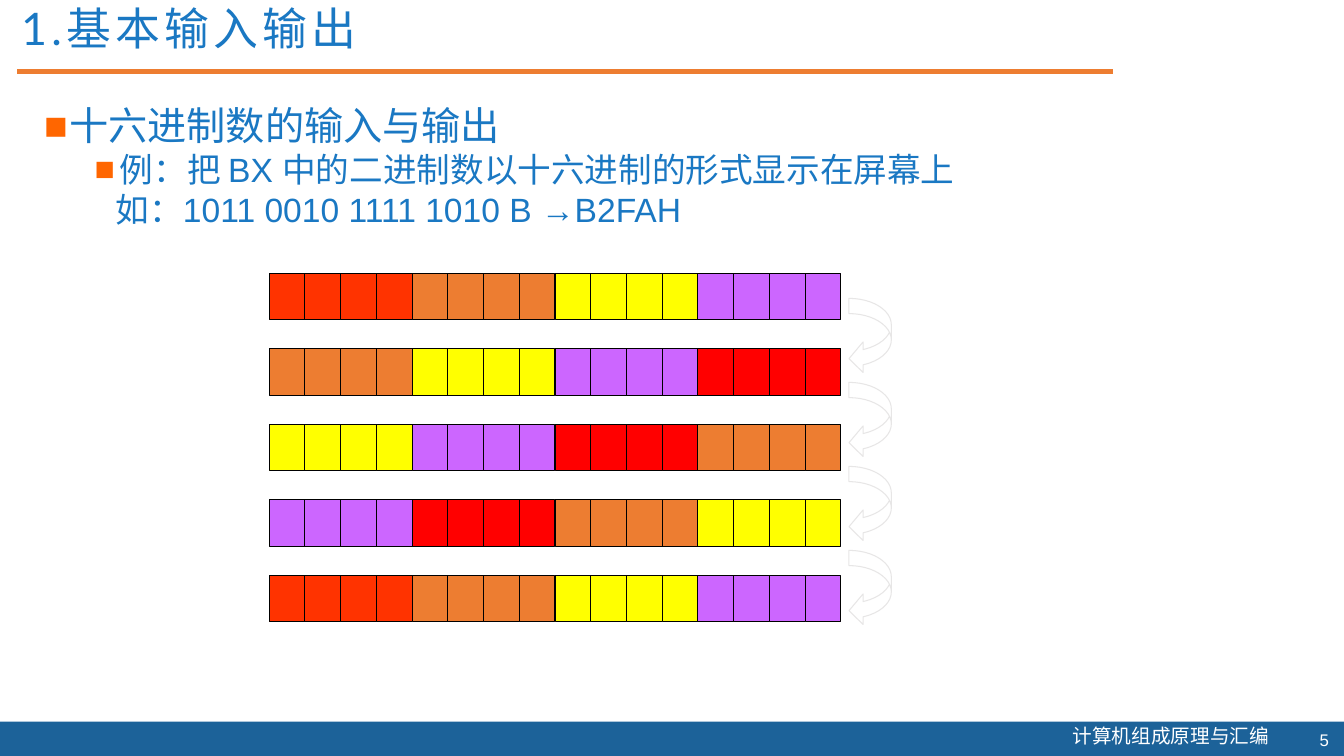
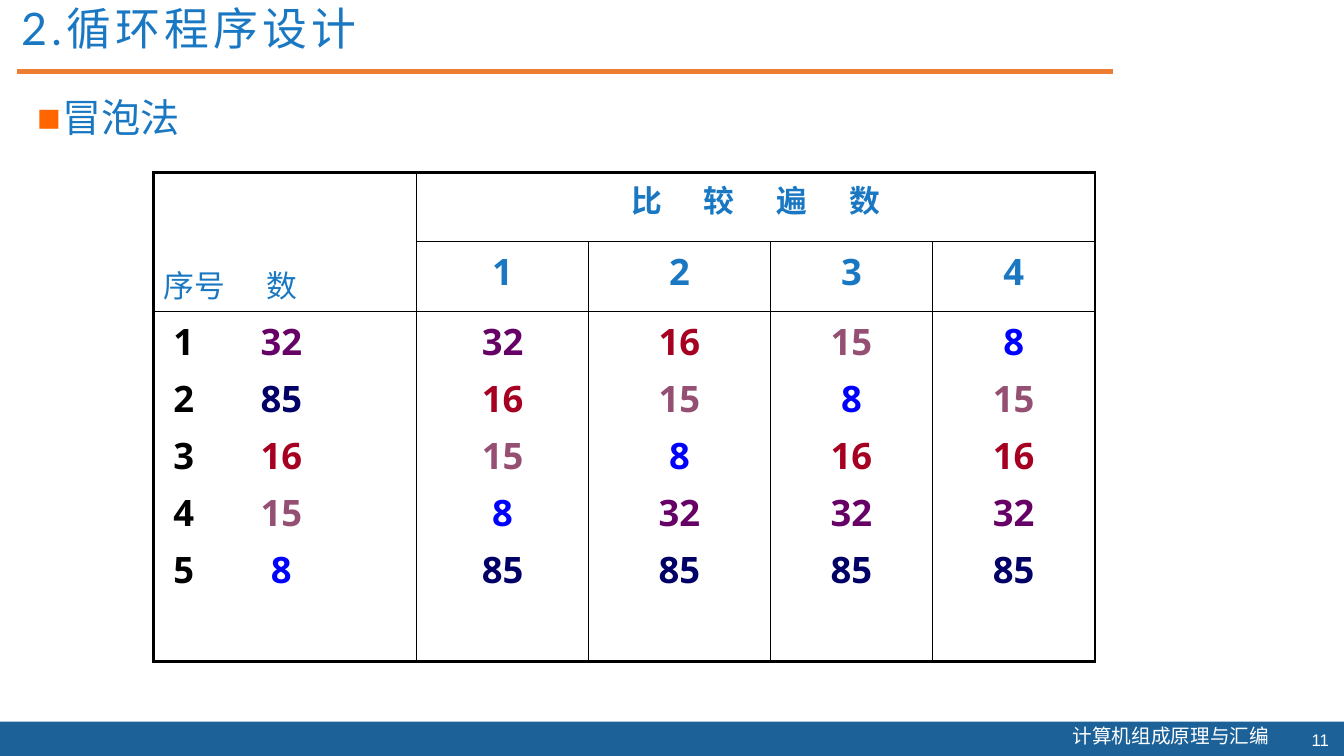
from lxml import etree
from pptx import Presentation
from pptx.dml.color import RGBColor
from pptx.enum.shapes import MSO_CONNECTOR, MSO_SHAPE
from pptx.enum.text import MSO_ANCHOR, MSO_AUTO_SIZE, PP_ALIGN
from pptx.oxml.ns import qn
from pptx.util import Inches, Pt

RECTANGLE = MSO_SHAPE.RECTANGLE
CURVED_ARROW = MSO_SHAPE.CURVED_LEFT_ARROW
STRAIGHT = MSO_CONNECTOR.STRAIGHT
TOP, MIDDLE, BOTTOM = MSO_ANCHOR.TOP, MSO_ANCHOR.MIDDLE, MSO_ANCHOR.BOTTOM
LEFT, CENTER, RIGHT = PP_ALIGN.LEFT, PP_ALIGN.CENTER, PP_ALIGN.RIGHT
FIT_SHAPE, NO_FIT = MSO_AUTO_SIZE.SHAPE_TO_FIT_TEXT, MSO_AUTO_SIZE.NONE

WHITE = RGBColor(0xFF, 0xFF, 0xFF)
BLACK = RGBColor(0, 0, 0)
BLUE = RGBColor(0x1A, 0x78, 0xC3)
BAND_BLUE = RGBColor(0x1C, 0x62, 0x99)
ORANGE = RGBColor(0xED, 0x7D, 0x31)
BULLET_ORANGE = RGBColor(0xFF, 0x66, 0x00)
ORANGE_RED = RGBColor(0xFF, 0x33, 0x00)
RED = RGBColor(0xFF, 0, 0)
YELLOW = RGBColor(0xFF, 0xFF, 0)
VIOLET = RGBColor(0xCC, 0x66, 0xFF)
PALE_GREY = RGBColor(0xE7, 0xE6, 0xE6)
NUMBER_COLORS = {
    32: RGBColor(0x66, 0, 0x66),
    85: RGBColor(0, 0, 0x66),
    16: RGBColor(0xA5, 0, 0x21),
    15: RGBColor(0x95, 0x4F, 0x72),
    8: RGBColor(0, 0, 0xFF),
}
CHINESE_FONT = "Noto Sans CJK SC"
COURSE = "计算机组成原理与汇编"


# Text
def style(paragraph, size, font, color, bold=False, align=LEFT,
          before=0, spacing=None):
    paragraph.alignment = align
    paragraph.space_before = Pt(before)
    if spacing:
        paragraph.line_spacing = spacing
    paragraph.font.size = Pt(size)
    paragraph.font.name = font
    paragraph.font.bold = bold
    paragraph.font.color.rgb = color
    defaults = paragraph._p.get_or_add_pPr().get_or_add_defRPr()
    etree.SubElement(defaults, qn("a:ea"), typeface=CHINESE_FONT)
    return defaults


def set_indent(paragraph, margin, hanging=0, bullet=False):
    """Indent a styled paragraph, with a square bullet if wanted."""
    properties = paragraph._p.get_or_add_pPr()
    properties.set("marL", str(Inches(margin)))
    properties.set("indent", str(-Inches(hanging)))
    if bullet:
        defaults = properties.find(qn("a:defRPr"))
        bullet_color = etree.Element(qn("a:buClr"))
        etree.SubElement(bullet_color, qn("a:srgbClr"), val=str(BULLET_ORANGE))
        defaults.addprevious(bullet_color)
        defaults.addprevious(etree.Element(qn("a:buFont"), typeface="Arial"))
        defaults.addprevious(etree.Element(qn("a:buChar"), char="■"))


def set_tab(paragraph, position, align):
    tabs = etree.Element(qn("a:tabLst"))
    etree.SubElement(tabs, qn("a:tab"), pos=str(Inches(position)), algn=align)
    paragraph._p.get_or_add_pPr().find(qn("a:defRPr")).addprevious(tabs)


def add_run(paragraph, text, color=None, tracking=0):
    run = paragraph.add_run()
    run.text = text
    if color is not None:
        run.font.color.rgb = color
    if tracking:
        run._r.get_or_add_rPr().set("spc", str(tracking * 100))


def add_text_frame(slide, left, top, width, height):
    frame = slide.shapes.add_textbox(
        Inches(left), Inches(top), Inches(width), Inches(height)).text_frame
    frame.word_wrap = True
    return frame


def add_bullets(slide, box, lines):
    """Lines are (text, size, space before, margin, hanging, bullet)."""
    frame = add_text_frame(slide, *box)
    for index, (text, size, before, margin, hanging, bullet) in enumerate(lines):
        paragraph = frame.add_paragraph() if index else frame.paragraphs[0]
        add_run(paragraph, text)
        style(paragraph, size, "Arial", BLUE, before=before, spacing=0.9)
        set_indent(paragraph, margin, hanging, bullet)


# Shapes
def add_box(shapes, kind, left, top, width, height, fill=None, line=None):
    box = shapes.add_shape(
        kind, Inches(left), Inches(top), Inches(width), Inches(height))
    box.shadow.inherit = False
    if fill is None:
        box.fill.background()
    else:
        box.fill.solid()
        box.fill.fore_color.rgb = fill
    if line is None:
        box.line.fill.background()
    else:
        box.line.color.rgb = line
        box.line.width = Pt(0.75)
    return box


def add_title_rule(slide):
    rule = slide.shapes.add_connector(
        STRAIGHT, Inches(0.17), Inches(0.71), Inches(11.04), Inches(0.71))
    rule.line.color.rgb = ORANGE
    rule.line.width = Pt(3)
    etree.SubElement(rule._element.spPr, qn("a:effectLst"))


# Shared slide frame: title, rule, bottom band, course name, page number
def add_slide(deck, heading, page):
    slide = deck.slides.add_slide(deck.slide_layouts[5])
    title = slide.shapes.title
    title.left, title.top = Inches(0.11), Inches(0.07)
    title.width, title.height = Inches(10.65), Inches(0.48)
    frame = title.text_frame
    frame.text = heading
    frame.vertical_anchor = TOP
    frame.auto_size = NO_FIT
    frame.margin_top = 0
    style(frame.paragraphs[0], 32, "Lato", BLUE, spacing=0.9).set("spc", "300")

    add_title_rule(slide)
    add_box(slide.shapes, RECTANGLE, 0, 7.16, 13.33, 0.35, BAND_BLUE)

    course = add_text_frame(slide, 10.54, 7.16, 2.18, 0.34)
    course.text = COURSE
    course.auto_size = FIT_SHAPE
    course.margin_top = Inches(0.02)
    style(course.paragraphs[0], 14, CHINESE_FONT, WHITE)

    number = add_text_frame(slide, 12.78, 7.19, 0.5, 0.3)
    number.text = str(page)
    number.vertical_anchor = MIDDLE
    style(number.paragraphs[0], 12, "Arial", WHITE, align=RIGHT)
    return slide


# Register rotated left by four bits at a time
def add_register(slide, left, top, nibble_colors):
    register = slide.shapes.add_group_shape()
    pitch = 5.67 / 16
    for bit in range(16):
        add_box(register.shapes, RECTANGLE, left + bit * pitch, top,
                pitch, 0.46, nibble_colors[bit // 4], BLACK)


def add_rotation(slide):
    for step in range(5):
        first = ORANGE_RED if step % 4 == 0 else RED
        nibbles = [first, ORANGE, YELLOW, VIOLET]
        shift = step % 4
        add_register(slide, 2.67, 2.71 + step * 0.75,
                     nibbles[shift:] + nibbles[:shift])
    for step in range(4):
        arrow = add_box(slide.shapes, CURVED_ARROW, 8.42, 2.96 + step * 2.5 / 3,
                        0.42, 0.75, line=PALE_GREY)
        for index, value in enumerate((0.36, 0.72, 0.333)):
            arrow.adjustments[index] = value


# Bubble sort table
def bubble_passes(numbers):
    """Return the order of the numbers after each pass."""
    order, passes = list(numbers), []
    for last in range(len(order) - 1, 0, -1):
        for i in range(last):
            if order[i] > order[i + 1]:
                order[i], order[i + 1] = order[i + 1], order[i]
        passes.append(list(order))
    return passes


def set_borders(cell, outer_sides):
    properties = cell._tc.get_or_add_tcPr()
    for side in "LRTB":
        width = Pt(2.25) if side in outer_sides else Pt(1)
        line = etree.SubElement(properties, qn("a:ln" + side), w=str(width))
        fill = etree.SubElement(line, qn("a:solidFill"))
        etree.SubElement(fill, qn("a:srgbClr"), val=str(BLACK))


def format_grid(table):
    last_row, last_column = len(table.rows) - 1, len(table.columns) - 1
    for r in range(last_row + 1):
        for c in range(last_column + 1):
            cell = table.cell(r, c)
            sides = {"L": c == 0, "T": r == 0,
                     "R": c + cell.span_width - 1 >= last_column,
                     "B": r + cell.span_height - 1 >= last_row}
            set_borders(cell, [side for side, outer in sides.items() if outer])
            cell.fill.background()


def fill_numbers(cell, numbers, numbered=False):
    for index, number in enumerate(numbers):
        frame = cell.text_frame
        paragraph = frame.add_paragraph() if index else frame.paragraphs[0]
        if numbered:
            add_run(paragraph, f"{index + 1}\t", BLACK)
        add_run(paragraph, str(number), NUMBER_COLORS[number])
        style(paragraph, 26, "Open Sans", BLUE, bold=True,
              align=LEFT if numbered else CENTER, before=5.2)
        if numbered:
            set_tab(paragraph, 1.07, "ctr")


def add_sort_table(slide, numbers):
    table = slide.shapes.add_table(
        3, 5, Inches(1.52), Inches(1.71), Inches(9.34), Inches(4.85)).table
    table.first_row = table.horz_banding = False
    for column, width in zip(table.columns, (2.61, 1.71, 1.8, 1.61, 1.61)):
        column.width = Inches(width)
    for row, height in zip(table.rows, (0.69, 0.69, 3.47)):
        row.height = Inches(height)
    table.cell(0, 0).merge(table.cell(1, 0))
    table.cell(0, 1).merge(table.cell(0, 4))
    format_grid(table)

    # Headings
    corner = table.cell(0, 0)
    corner.vertical_anchor = BOTTOM
    labels = corner.text_frame.paragraphs[0]
    add_run(labels, "序号\t数")
    style(labels, 22, "Open Sans", BLUE, before=4.4)
    set_tab(labels, 1.02, "l")
    passes_heading = table.cell(0, 1).text_frame.paragraphs[0]
    add_run(passes_heading, "比较遍", tracking=30)
    add_run(passes_heading, "数")
    style(passes_heading, 22, "Open Sans", BLUE, True, CENTER, 4.4)

    # Numbers before sorting and after each pass
    start = table.cell(2, 0)
    start.margin_left = Inches(0.2)
    fill_numbers(start, numbers, numbered=True)
    for count, order in enumerate(bubble_passes(numbers), 1):
        pass_number = table.cell(1, count).text_frame.paragraphs[0]
        add_run(pass_number, str(count))
        style(pass_number, 26, "Open Sans", BLUE, True, CENTER, 5.2)
        fill_numbers(table.cell(2, count), order)


def main():
    deck = Presentation()
    deck.slide_width, deck.slide_height = Inches(13.33), Inches(7.5)

    output_slide = add_slide(deck, "1.基本输入输出", 5)
    add_bullets(output_slide, (0.34, 1.01, 11.6, 1.23), [
        ("十六进制数的输入与输出", 28, 10, 0.25, 0.25, True),
        ("例：把 BX 中的二进制数以十六进制的形式显示在屏幕上",
         24, 3, 0.75, 0.25, True),
        ("如：1011 0010 1111 1010 B →B2FAH", 24, 3, 0.71, 0, False),
    ])
    add_rotation(output_slide)

    sort_slide = add_slide(deck, "2.循环程序设计", 11)
    add_bullets(sort_slide, (0.27, 0.93, 12.94, 6.07),
                [("冒泡法", 28, 10, 0.25, 0.25, True)])
    add_sort_table(sort_slide, [32, 85, 16, 15, 8])

    deck.save("out.pptx")


main()
